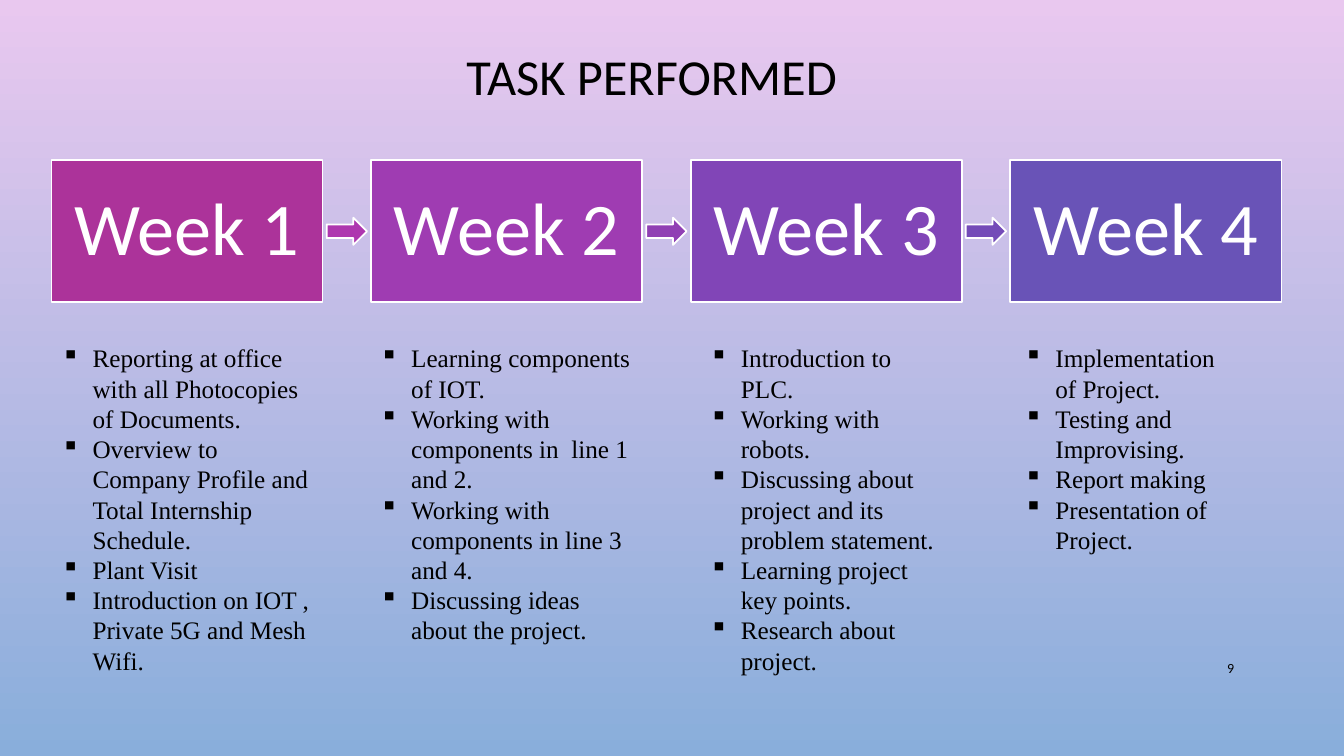
from lxml.etree import SubElement
from pptx import Presentation
from pptx.dml.color import RGBColor
from pptx.enum.shapes import MSO_SHAPE
from pptx.enum.text import MSO_ANCHOR, MSO_AUTO_SIZE, PP_ALIGN
from pptx.oxml.ns import qn
from pptx.util import Inches, Pt

TITLE = "TASK PERFORMED"
PAGE = "9"
# heading, box colour, list left, list width, list height, tasks
WEEKS = [
    ("Week 1", "week1", 0.51, 2.68, 3.74, [
        "Reporting at office with all Photocopies of Documents.",
        "Overview to Company Profile and Total Internship Schedule.",
        "Plant Visit",
        "Introduction on IOT , Private 5G and Mesh Wifi."]),
    ("Week 2", "week2", 3.67, 2.79, 3.43, [
        "Learning components of IOT.",
        "Working with components in  line 1 and 2.",
        "Working with components in line 3 and 4.",
        "Discussing ideas about the project."]),
    ("Week 3", "week3", 6.94, 2.44, 3.43, [
        "Introduction to PLC.",
        "Working with robots.",
        "Discussing about project and its problem statement.",
        "Learning project key points.",
        "Research about project."]),
    ("Week 4", "week4", 10.06, 2.27, 2.22, [
        "Implementation of Project.",
        "Testing and Improvising.",
        "Report making",
        "Presentation of Project."]),
]
ARROWS = ["arrow1", "arrow2", "arrow3"]
COLORS = {
    "sky": "E9C8EF", "ground": "89AEDB", "ink": "000000", "white": "FFFFFF",
    "week1": "AC339A", "week2": "9F3CB2", "week3": "8145B7", "week4": "6953B7",
    "arrow1": "AE37AF", "arrow2": "9040B4", "arrow3": "744BB8",
}
LEFT, TOP, PITCH = 0.51, 1.59, 3.17
BOX_W, BOX_H = 2.69, 1.41
ARROW_W, ARROW_H = 0.4, 0.27
LIST_TOP, INDENT = 3.35, 0.31


def color(name):
    return RGBColor.from_string(COLORS[name])


def inches(*lengths):
    return [Inches(n) for n in lengths]


def write(p, text, size, ink="ink", font="Calibri", align=PP_ALIGN.LEFT):
    p.alignment = align
    r = p.add_run()
    r.text = text
    r.font.size, r.font.name = Pt(size), font
    r.font.color.rgb = color(ink)


def add_block(s, preset, box, fill):
    sp = s.shapes.add_shape(preset, *inches(*box))
    sp.shadow.inherit = False
    sp.fill.solid()
    sp.fill.fore_color.rgb = color(fill)
    sp.line.color.rgb = color("white")
    sp.line.width = Pt(1.25)
    return sp


def add_text_box(s, box):
    tf = s.shapes.add_textbox(*inches(*box)).text_frame
    tf.word_wrap = True
    return tf


def add_bullet(p):
    pPr = p._p.get_or_add_pPr()
    pPr.set("marL", str(Inches(INDENT)))
    pPr.set("indent", str(-Inches(INDENT)))
    SubElement(pPr, qn("a:buChar")).set("char", "▪")


def add_heading(s, left, text, fill):
    sp = add_block(s, MSO_SHAPE.RECTANGLE, (left, TOP, BOX_W, BOX_H), fill)
    tf = sp.text_frame
    tf.word_wrap = True
    tf.vertical_anchor = MSO_ANCHOR.MIDDLE
    tf.margin_left = tf.margin_right = Inches(0.17)
    tf.margin_top = tf.margin_bottom = Inches(0.17)
    p = tf.paragraphs[0]
    p.line_spacing = 0.9
    write(p, text, 53, "white", align=PP_ALIGN.CENTER)


def add_tasks(s, box, tasks):
    tf = add_text_box(s, box)
    tf.auto_size = MSO_AUTO_SIZE.SHAPE_TO_FIT_TEXT
    for i, task in enumerate(tasks):
        p = tf.add_paragraph() if i else tf.paragraphs[0]
        add_bullet(p)
        write(p, task, 18, font="Times New Roman")


def main():
    prs = Presentation()
    prs.slide_width, prs.slide_height = inches(13.33, 7.5)
    s = prs.slides.add_slide(prs.slide_layouts[5])

    bg = s.background.fill
    bg.gradient()
    bg.gradient_angle = 270
    for stop, name, position in zip(bg.gradient_stops, ("sky", "ground"), (0, 1)):
        stop.color.rgb = color(name)
        stop.position = position

    title = s.shapes.title
    title.left, title.top, title.width, title.height = inches(0.8, 0.25, 11.33, 1.08)
    tf = title.text_frame
    tf.vertical_anchor = MSO_ANCHOR.MIDDLE
    tf.paragraphs[0].line_spacing = 0.9
    write(tf.paragraphs[0], TITLE, 36, align=PP_ALIGN.CENTER)

    for i, (heading, fill, left, width, height, tasks) in enumerate(WEEKS):
        add_heading(s, LEFT + i * PITCH, heading, fill)
        add_tasks(s, (left, LIST_TOP, width, height), tasks)

    gap = PITCH - BOX_W
    arrow_top = TOP + (BOX_H - ARROW_H) / 2
    for i, fill in enumerate(ARROWS):
        arrow_left = LEFT + i * PITCH + BOX_W + (gap - ARROW_W) / 2
        add_block(s, MSO_SHAPE.RIGHT_ARROW, (arrow_left, arrow_top, ARROW_W, ARROW_H), fill)

    tf = add_text_box(s, (11.5, 6.43, 0.84, 0.4))
    tf.vertical_anchor = MSO_ANCHOR.MIDDLE
    write(tf.paragraphs[0], PAGE, 10, align=PP_ALIGN.RIGHT)

    prs.save("out.pptx")


if __name__ == "__main__":
    main()
